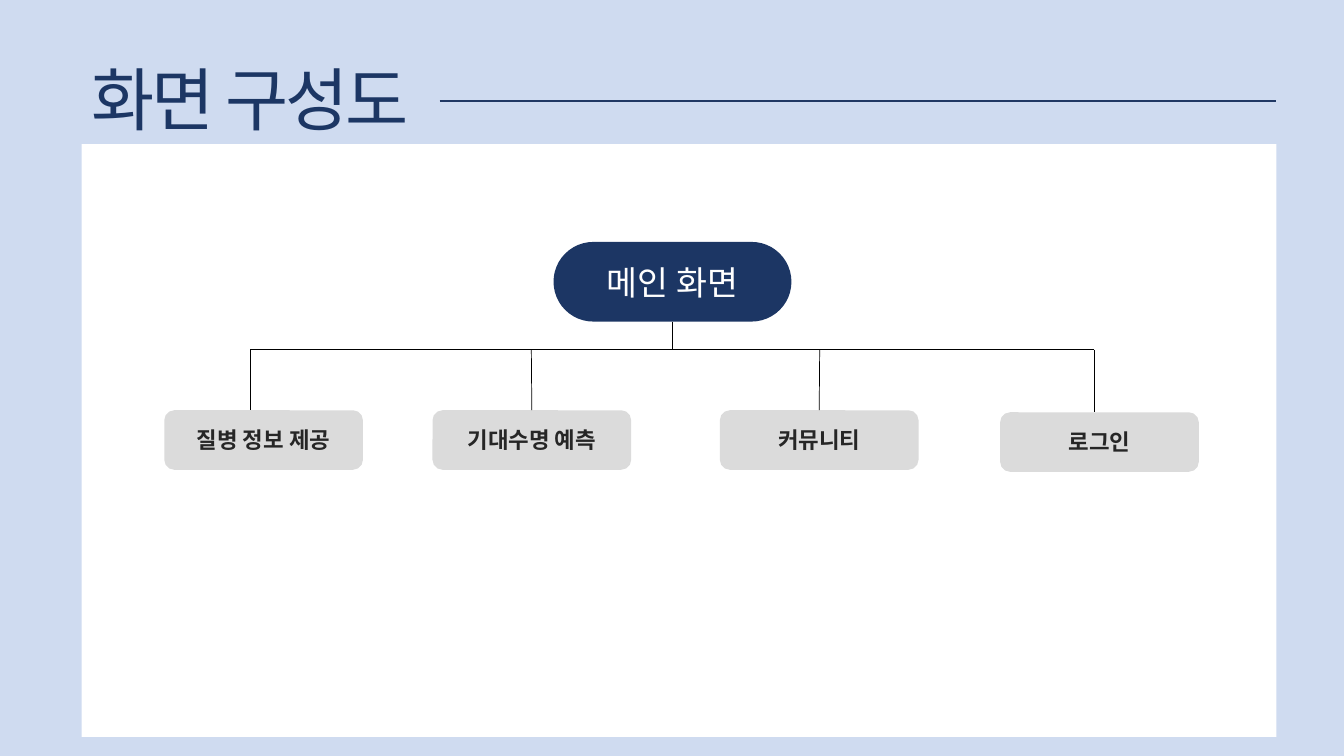
from lxml.etree import SubElement
from pptx import Presentation
from pptx.dml.color import RGBColor
from pptx.enum.shapes import MSO_CONNECTOR as Connector, MSO_SHAPE as Shape
from pptx.enum.text import MSO_ANCHOR as Anchor, PP_ALIGN as Align
from pptx.oxml.ns import qn
from pptx.util import Inches, Pt

FONT = "Arial"
NAVY = "1C3664"
BOX_WIDTH, BOX_HEIGHT = 1.97, 0.59
TRUNK_X, BUS_Y = 6.67, 3.47
BRANCHES = [
    ("질병 정보 제공", 1.63, 4.07, 2.48),
    ("기대수명 예측", 4.29, 4.07, 5.27),
    ("커뮤니티", 7.14, 4.07, 8.13),
    ("로그인", 9.92, 4.09, 10.85),
]


def color(value):
    """Return the colour for a hex string."""
    return RGBColor.from_string(value)


def add_run(paragraph, text, size, fill, bold=False):
    """Add a formatted run to a paragraph and return it."""
    run = paragraph.add_run()
    run.text = text
    run.font.name = FONT
    run.font.size = Pt(size)
    run.font.bold = bold
    run.font.color.rgb = color(fill)
    return run


def add_block(slide, kind, left, top, width, height, fill):
    """Add a plain filled shape without outline or shadow."""
    shape = slide.shapes.add_shape(
        kind, Inches(left), Inches(top), Inches(width), Inches(height))
    shape.shadow.inherit = False
    shape.fill.solid()
    shape.fill.fore_color.rgb = color(fill)
    shape.line.fill.background()
    return shape


def add_node(slide, text, box, fill, size, text_color, bold=False):
    """Add a rounded box with a centred label."""
    shape = add_block(slide, Shape.ROUNDED_RECTANGLE, *box, fill)
    frame = shape.text_frame
    frame.word_wrap = True
    frame.vertical_anchor = Anchor.MIDDLE
    paragraph = frame.paragraphs[0]
    paragraph.alignment = Align.CENTER
    add_run(paragraph, text, size, text_color, bold)
    return shape


def add_line(slide, start, end, stroke="000000", width=0.5):
    """Add a straight connector without shadow."""
    line = slide.shapes.add_connector(
        Connector.STRAIGHT, *map(Inches, (*start, *end)))
    line.line.color.rgb = color(stroke)
    line.line.width = Pt(width)
    SubElement(line._element.spPr, qn("a:effectLst"))
    return line


def add_title(slide, text):
    """Add the slide title with tight letter spacing."""
    box = slide.shapes.add_textbox(
        Inches(0.81), Inches(0.52), Inches(6.8), Inches(0.93))
    box.text_frame.word_wrap = True
    run = add_run(box.text_frame.paragraphs[0], text, 49, NAVY)
    run._r.get_or_add_rPr().set("spc", "-190")


def add_branch(slide, text, left, top, drop_x):
    """Add a menu box and the line that drops to it from the bus."""
    box = add_node(slide, text, (left, top, BOX_WIDTH, BOX_HEIGHT),
                   "DBDBDB", 16, "262626", bold=True)
    drop = add_line(slide, (drop_x, BUS_Y), (drop_x, top))
    if abs(left + BOX_WIDTH / 2 - drop_x) < 0.02:
        drop.end_connect(box, 0)


def main():
    """Build the screen structure slide and save it."""
    presentation = Presentation()
    presentation.slide_width = Inches(13.33)
    presentation.slide_height = Inches(7.5)
    slide = presentation.slides.add_slide(presentation.slide_layouts[6])

    add_block(slide, Shape.RECTANGLE, 0, 0, 13.33, 7.5, "CFDBF0")
    add_block(slide, Shape.RECTANGLE, 0.81, 1.43, 11.85, 5.88, "FFFFFF")
    add_title(slide, "화면 구성도")
    add_line(slide, (4.36, 1), (12.66, 1), "203864", 1.5)

    main_screen = add_node(slide, "메인 화면", (5.49, 2.4, 2.36, 0.79),
                           NAVY, 24, "FFFFFF")
    main_screen.adjustments[0] = 0.5
    trunk = add_line(slide, (TRUNK_X, 3.21), (TRUNK_X, BUS_Y))
    trunk.begin_connect(main_screen, 2)
    add_line(slide, (BRANCHES[0][-1], BUS_Y), (BRANCHES[-1][-1], BUS_Y))
    for branch in BRANCHES:
        add_branch(slide, *branch)

    presentation.save("out.pptx")


if __name__ == "__main__":
    main()
